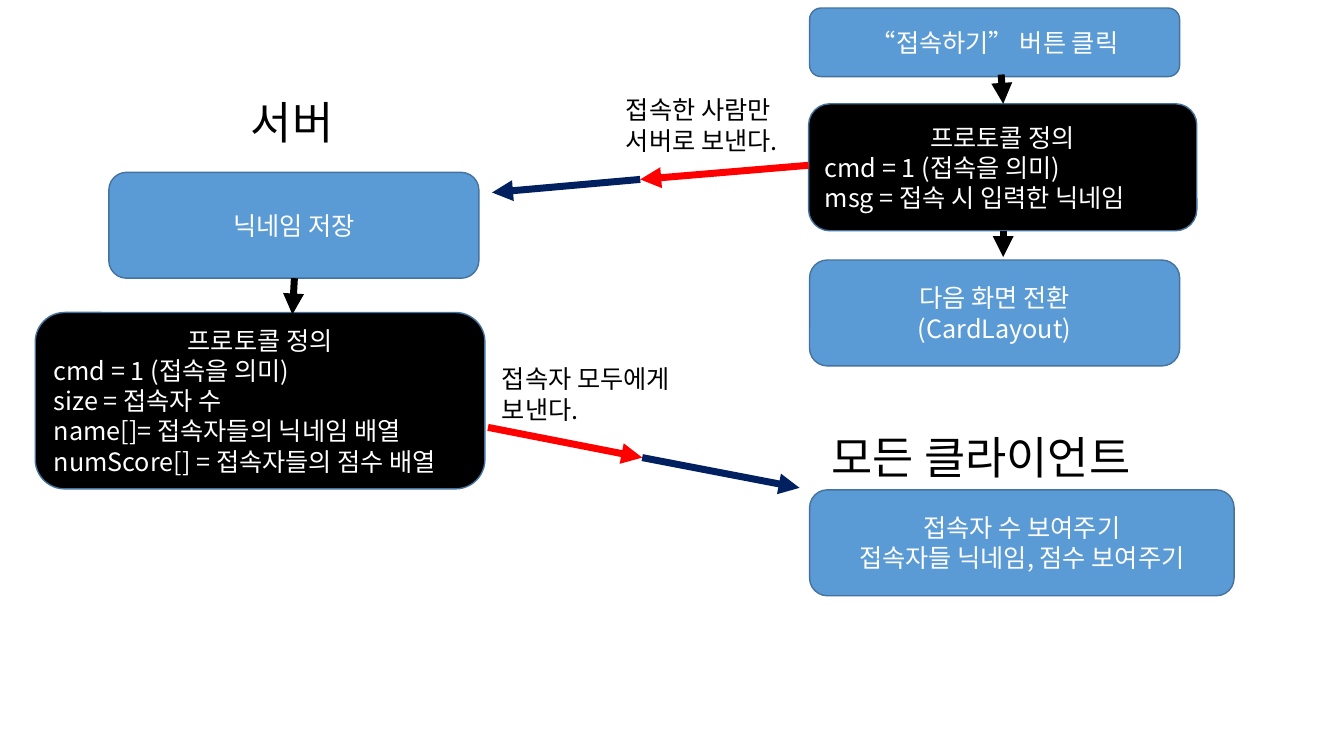
from lxml.etree import SubElement
from pptx import Presentation
from pptx.dml.color import RGBColor
from pptx.enum.shapes import MSO_CONNECTOR, MSO_SHAPE
from pptx.enum.text import MSO_ANCHOR, PP_ALIGN
from pptx.oxml.ns import qn
from pptx.util import Inches, Pt

FONT = "Noto Sans CJK KR"
COLORS = {"black": "000000", "white": "FFFFFF", "blue": "5B9BD5",
          "edge": "43739E", "red": "FF0000", "navy": "002060"}

STEPS = [
    (8.03, 0.08, 3.67, 0.68, ["“접속하기” 버튼 클릭"]),
    (8.03, 2.58, 3.67, 1.05, ["다음 화면 전환", "(CardLayout)"]),
    (1.08, 1.71, 3.67, 1.05, ["닉네임 저장"]),
    (8.03, 4.86, 4.21, 1.05, ["접속자 수 보여주기", "접속자들 닉네임, 점수 보여주기"]),
]
PROTOCOLS = [
    (8.02, 1.03, 3.85, 1.26,
     ["프로토콜 정의", "cmd = 1 (접속을 의미)", "msg = 접속 시 입력한 닉네임"]),
    (0.35, 3.1, 4.46, 1.75,
     ["프로토콜 정의", "cmd = 1 (접속을 의미)", "size = 접속자 수",
      "name[]= 접속자들의 닉네임 배열", "numScore[] = 접속자들의 점수 배열"]),
]
LABELS = [
    (2.39, 0.89, 2.45, 0.64, "서버", 32),
    (8.15, 4.21, 4.45, 0.64, "모든 클라이언트", 32),
    (6.11, 0.89, 1.85, 0.71, "접속한 사람만 서버로 보낸다.", 18),
    (4.88, 3.56, 2.22, 0.71, "접속자 모두에게 보낸다.", 18),
]
ARROWS = [
    (9.93, 0.74, 9.95, 1.03, "black"),
    (9.95, 2.29, 9.95, 2.55, "black"),
    (2.92, 2.76, 2.9, 3.12, "black"),
    (8.02, 1.64, 6.35, 1.78, "red"),
    (6.35, 1.78, 4.88, 1.91, "navy"),
    (4.84, 4.24, 6.37, 4.54, "red"),
    (6.37, 4.54, 7.93, 4.84, "navy"),
]


def tint(name):
    return RGBColor.from_string(COLORS[name])


def write(frame, lines, size, color, aligns):
    frame.word_wrap = True
    frame.text = "\n".join(lines)
    for para, align in zip(frame.paragraphs, aligns):
        para.alignment = align
        font = para.font
        font.name, font.size = FONT, Pt(size)
        font.color.rgb = tint(color)


def add_box(slide, box, fill, aligns):
    *place, lines = box
    shape = slide.shapes.add_shape(MSO_SHAPE.ROUNDED_RECTANGLE, *map(Inches, place))
    shape.shadow.inherit = False
    shape.fill.solid()
    shape.fill.fore_color.rgb = tint(fill)
    shape.line.color.rgb = tint("edge")
    shape.line.width = Pt(1)
    shape.text_frame.vertical_anchor = MSO_ANCHOR.MIDDLE
    write(shape.text_frame, lines, 18, "white", aligns)


def add_arrow(slide, arrow):
    *ends, color = arrow
    link = slide.shapes.add_connector(MSO_CONNECTOR.STRAIGHT, *map(Inches, ends))
    link.line.color.rgb = tint(color)
    link.line.width = Pt(5)
    SubElement(link.line._get_or_add_ln(), qn("a:tailEnd"), type="triangle")
    SubElement(link._element.spPr, qn("a:effectLst"))


def main():
    deck = Presentation()
    deck.slide_width, deck.slide_height = Inches(13.33), Inches(7.5)
    slide = deck.slides.add_slide(deck.slide_layouts[6])
    for box in STEPS:
        add_box(slide, box, "blue", [PP_ALIGN.CENTER] * len(box[-1]))
    for box in PROTOCOLS:
        rest = [PP_ALIGN.LEFT] * (len(box[-1]) - 1)
        add_box(slide, box, "black", [PP_ALIGN.CENTER] + rest)
    for *place, text, size in LABELS:
        label = slide.shapes.add_textbox(*map(Inches, place))
        write(label.text_frame, [text], size, "black", [PP_ALIGN.LEFT])
    for arrow in ARROWS:
        add_arrow(slide, arrow)
    deck.save("out.pptx")


if __name__ == "__main__":
    main()
